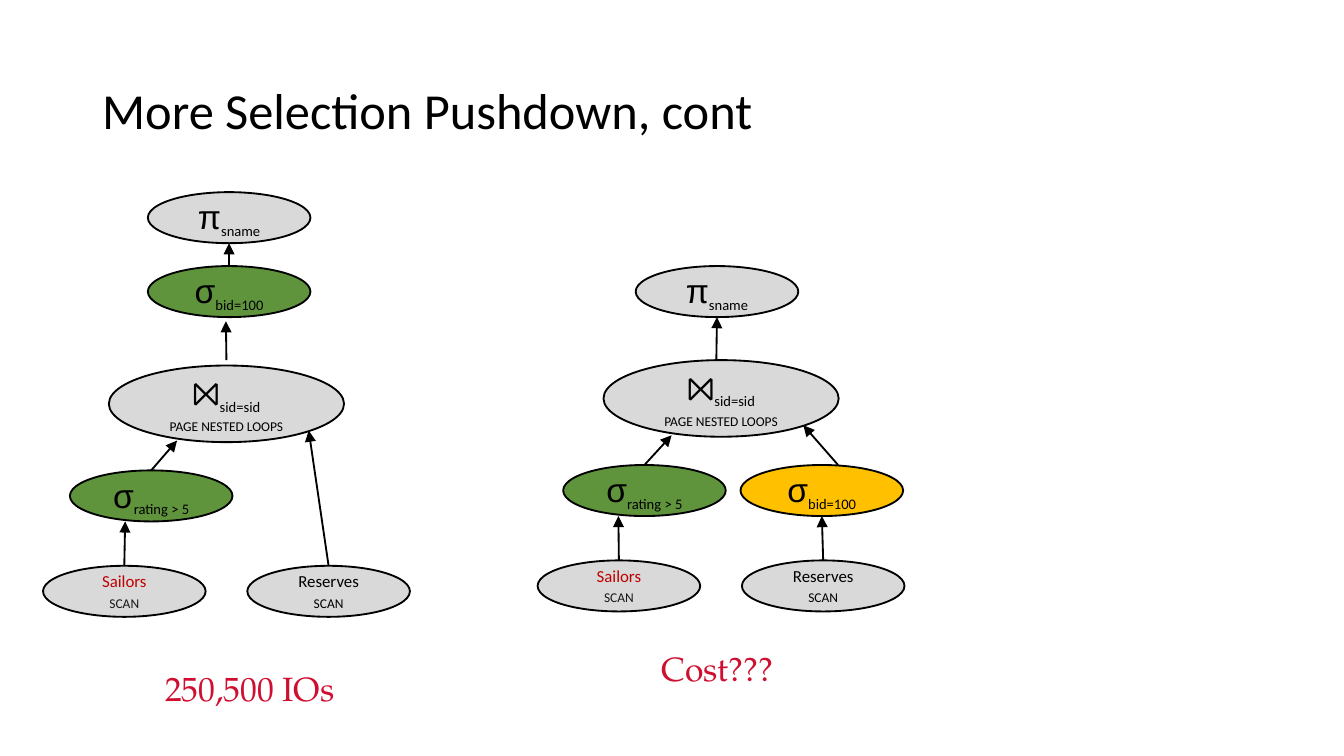
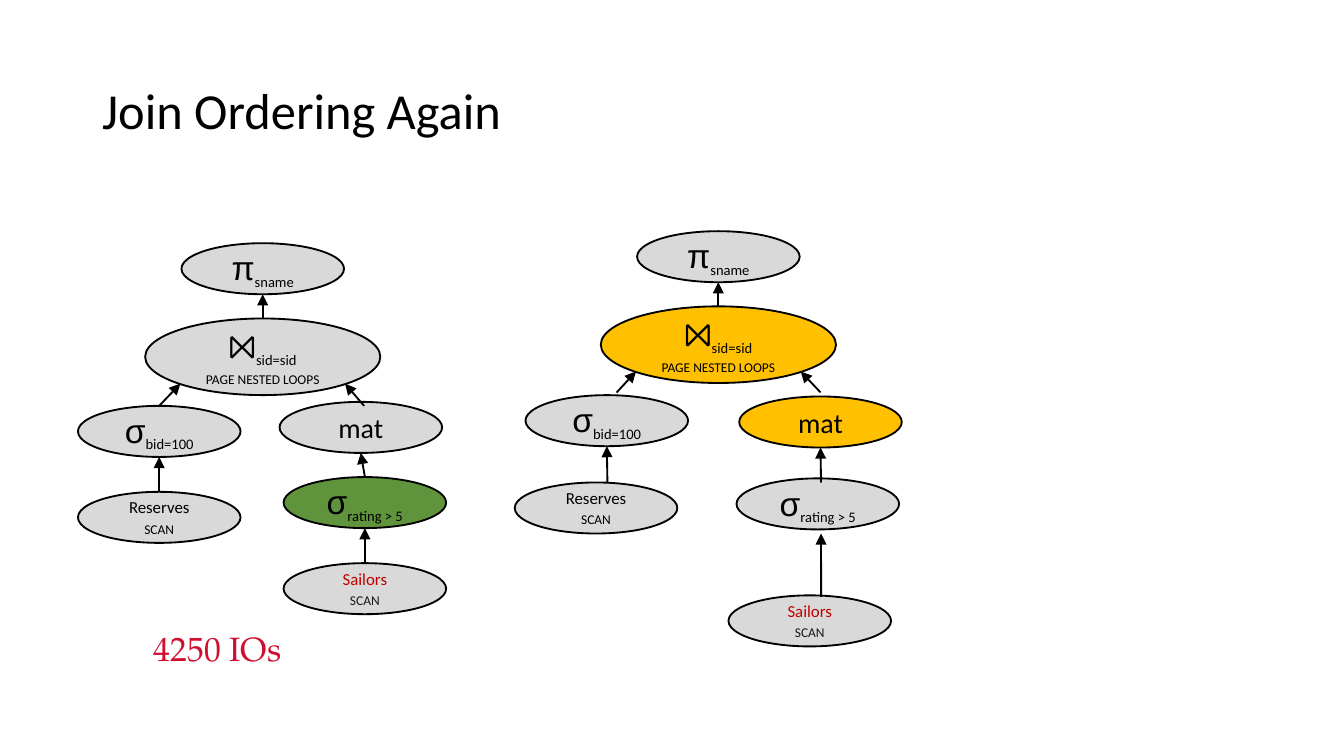
from dataclasses import dataclass, field

from lxml.etree import SubElement
from pptx import Presentation
from pptx.dml.color import RGBColor
from pptx.enum.shapes import MSO_CONNECTOR as Connector, MSO_SHAPE as Shape
from pptx.enum.text import MSO_ANCHOR as Anchor, PP_ALIGN as Align
from pptx.oxml.ns import qn
from pptx.util import Inches, Pt


@dataclass(frozen=True)
class Theme:
    black: str = "000000"
    soft_black: str = "181717"
    red: str = "C00000"
    cost_red: str = "CF0E30"
    grey: str = "D9D9D9"
    green: str = "5F933C"
    amber: str = "FFC000"
    body_font: str = "Calibri"
    symbol_font: str = "Arial"
    cost_font: str = "TeX Gyre Pagella"
    title_size: float = 27
    symbol_size: float = 18
    mat_size: float = 15
    subscript_size: float = 13.5
    small_size: float = 9
    line_width: float = 1


THEME = Theme()

# Positions and sizes are columns and rows of a 0.1 inch grid.
GRID = Inches(0.1)
SLIDE_SIZE = (100, 56.25)
TITLE_BOX = (6.9, 3, 86.2, 10.9)
COST_SIZE = (15.6, 3.8)
NODE_SIZE = (12.1, 3.8)
JOIN_SIZE = (17.5, 5.7)
TIGHT_INSETS = (0.7, 0.4)

# Arrow ends are shares of a node's width and height.
TOP = (0.5, 0)
BOTTOM = (0.5, 1)
LEFT_OF_BOTTOM = (0.34, 1)
LOWER_LEFT = (0.15, 0.85)
LOWER_RIGHT = (0.85, 0.85)
NEAR_BOTTOM = (0.29, 0.98)


@dataclass(frozen=True)
class Span:
    text: str
    size: float = THEME.small_size
    font: str = THEME.body_font
    color: str = THEME.black
    subscript: bool = False
    small_caps: bool = False


BREAK = Span("\n")


def operator(symbol, subscript):
    return [Span(symbol, THEME.symbol_size, THEME.symbol_font),
            Span(subscript, THEME.subscript_size, subscript=True)]


def scan(table, table_color=THEME.black, scan_color=THEME.black):
    return [[Span(table, color=table_color)],
            [Span("scan", color=scan_color, small_caps=True)]]


LABELS = {
    "sname": [operator("π", "sname")],
    "bid": [operator("σ", "bid=100")],
    "rating": [operator("σ", "rating > 5")],
    "join": [operator("⨝", "sid=sid")
             + [BREAK, Span("page nested loops", small_caps=True)]],
    "mat": [[Span("mat", THEME.mat_size)]],
    "sailors": scan("Sailors", THEME.red, THEME.soft_black),
    "reserves": scan("Reserves"),
}


@dataclass(frozen=True)
class Edge:
    child: str
    parent: str
    end: tuple = BOTTOM
    start: tuple = TOP


@dataclass(frozen=True)
class Plan:
    """A query plan: its corner, and node and cost offsets from that corner."""
    corner: tuple
    nodes: dict
    edges: list
    fills: dict = field(default_factory=dict)
    cost: str = ""
    cost_offset: tuple = (0, 0)


SLIDES = {
    "More Selection Pushdown, cont": [
        Plan(
            corner=(3.2, 14.3),
            nodes={"sname": (7.8, 0), "bid": (7.8, 5.5), "rating": (2, 20.7),
                   "join": (4.9, 12.9), "sailors": (0, 27.8),
                   "reserves": (15.2, 27.8)},
            edges=[Edge("sailors", "rating", LEFT_OF_BOTTOM),
                   Edge("reserves", "join", LOWER_RIGHT),
                   Edge("rating", "join", NEAR_BOTTOM),
                   Edge("join", "bid", (0.48, 1.08), (0.5, -0.07)),
                   Edge("bid", "sname")],
            fills={"bid": THEME.green, "rating": THEME.green},
            cost="250,500 IOs", cost_offset=(7.6, 35)),
        Plan(
            corner=(40, 19.8),
            nodes={"sname": (7.3, 0), "bid": (15.1, 14.8),
                   "rating": (1.9, 14.8), "join": (4.9, 7),
                   "sailors": (0, 21.9), "reserves": (15.2, 21.9)},
            edges=[Edge("sailors", "rating", LEFT_OF_BOTTOM),
                   Edge("reserves", "bid"),
                   Edge("rating", "join", NEAR_BOTTOM),
                   Edge("bid", "join", LOWER_RIGHT, (0.6, 0)),
                   Edge("join", "sname", start=(0.48, 0))],
            fills={"bid": THEME.amber, "rating": THEME.green},
            cost="Cost???", cost_offset=(5.6, 28)),
    ],
    "Join Ordering Again": [
        Plan(
            corner=(5.8, 18.1),
            nodes={"mat": (15, 11.8), "rating": (15.3, 17.4),
                   "reserves": (0, 18.5), "sname": (7.7, 0),
                   "bid": (0, 12.1), "join": (5, 5.6),
                   "sailors": (15.3, 23.8)},
            edges=[Edge("rating", "mat"),
                   Edge("reserves", "bid"),
                   Edge("sailors", "rating"),
                   Edge("mat", "join", LOWER_RIGHT, (0.52, 0.08)),
                   Edge("bid", "join", LOWER_LEFT),
                   Edge("join", "sname")],
            fills={"rating": THEME.green},
            cost="4250 IOs", cost_offset=(2.6, 28.2)),
        Plan(
            corner=(38.3, 17.2),
            nodes={"rating": (16.5, 18.4), "sailors": (15.9, 27.1),
                   "reserves": (0, 18.7), "bid": (0.8, 12.2),
                   "sname": (9.1, 0), "join": (6.4, 5.6),
                   "mat": (16.7, 12.3)},
            edges=[Edge("sailors", "rating", (0.52, 1.08), (0.57, 0.03)),
                   Edge("reserves", "bid", start=(0.57, 0)),
                   Edge("mat", "join", LOWER_RIGHT, (0.5, -0.08)),
                   Edge("bid", "join", LOWER_LEFT, (0.56, -0.05)),
                   Edge("join", "sname"),
                   Edge("rating", "mat", start=(0.52, 0.08))],
            fills={"join": THEME.amber, "mat": THEME.amber}),
    ],
}


def on_grid(*lengths):
    return [round(length * GRID) for length in lengths]


def offset(corner, distance):
    return corner[0] + distance[0], corner[1] + distance[1]


def write_text(shape, paragraphs, *, align=Align.CENTER, insets=None,
               wrap=True, line_spacing=None):
    frame = shape.text_frame
    frame.word_wrap = wrap
    frame.vertical_anchor = Anchor.MIDDLE
    if insets:
        across, down = on_grid(*insets)
        frame.margin_left = frame.margin_right = across
        frame.margin_top = frame.margin_bottom = down
    for index, spans in enumerate(paragraphs):
        paragraph = frame.add_paragraph() if index else frame.paragraphs[0]
        paragraph.alignment = align
        if line_spacing:
            paragraph.line_spacing = line_spacing
        for span in spans:
            if span is BREAK:
                paragraph.add_line_break()
                continue
            run = paragraph.add_run()
            run.text = span.text
            run.font.size = Pt(span.size)
            run.font.name = span.font
            run.font.color.rgb = RGBColor.from_string(span.color)
            properties = run._r.get_or_add_rPr()
            if span.subscript:
                properties.set("baseline", "-25000")
            if span.small_caps:
                properties.set("cap", "small")


def add_title(slide, box, title):
    write_text(slide.shapes.add_textbox(*on_grid(*box)),
               [[Span(title, THEME.title_size)]],
               align=Align.LEFT, insets=TIGHT_INSETS, line_spacing=0.9)


def add_cost(slide, corner, cost):
    write_text(slide.shapes.add_textbox(*on_grid(*corner, *COST_SIZE)),
               [[Span(cost, THEME.symbol_size, THEME.cost_font,
                      THEME.cost_red)]],
               wrap=False)


def add_node(slide, corner, name, fill):
    size = JOIN_SIZE if name == "join" else NODE_SIZE
    node = slide.shapes.add_shape(Shape.OVAL, *on_grid(*corner, *size))
    node.shadow.inherit = False
    node.fill.solid()
    node.fill.fore_color.rgb = RGBColor.from_string(fill)
    node.line.color.rgb = RGBColor.from_string(THEME.black)
    node.line.width = Pt(THEME.line_width)
    write_text(node, LABELS[name], insets=TIGHT_INSETS)
    return node


def point_on(node, share):
    return (round(node.left + share[0] * node.width),
            round(node.top + share[1] * node.height))


def add_arrow(slide, child, parent, edge):
    arrow = slide.shapes.add_connector(
        Connector.STRAIGHT, *point_on(child, edge.start),
        *point_on(parent, edge.end))
    if edge.start == TOP:
        arrow.begin_connect(child, 0)
    arrow.line.color.rgb = RGBColor.from_string(THEME.black)
    arrow.line.width = Pt(THEME.line_width)
    SubElement(arrow.line._get_or_add_ln(), qn("a:tailEnd"), type="triangle")
    SubElement(arrow._element.spPr, qn("a:effectLst"))


def add_plan(slide, plan):
    nodes = {
        name: add_node(slide, offset(plan.corner, distance), name,
                       plan.fills.get(name, THEME.grey))
        for name, distance in plan.nodes.items()
    }
    for edge in plan.edges:
        add_arrow(slide, nodes[edge.child], nodes[edge.parent], edge)
    if plan.cost:
        add_cost(slide, offset(plan.corner, plan.cost_offset), plan.cost)


def add_plan_slide(deck, title, plans):
    slide = deck.slides.add_slide(deck.slide_layouts[6])
    add_title(slide, TITLE_BOX, title)
    for plan in plans:
        add_plan(slide, plan)


def main():
    deck = Presentation()
    deck.slide_width, deck.slide_height = on_grid(*SLIDE_SIZE)
    for title, plans in SLIDES.items():
        add_plan_slide(deck, title, plans)
    deck.save("out.pptx")


if __name__ == "__main__":
    main()
